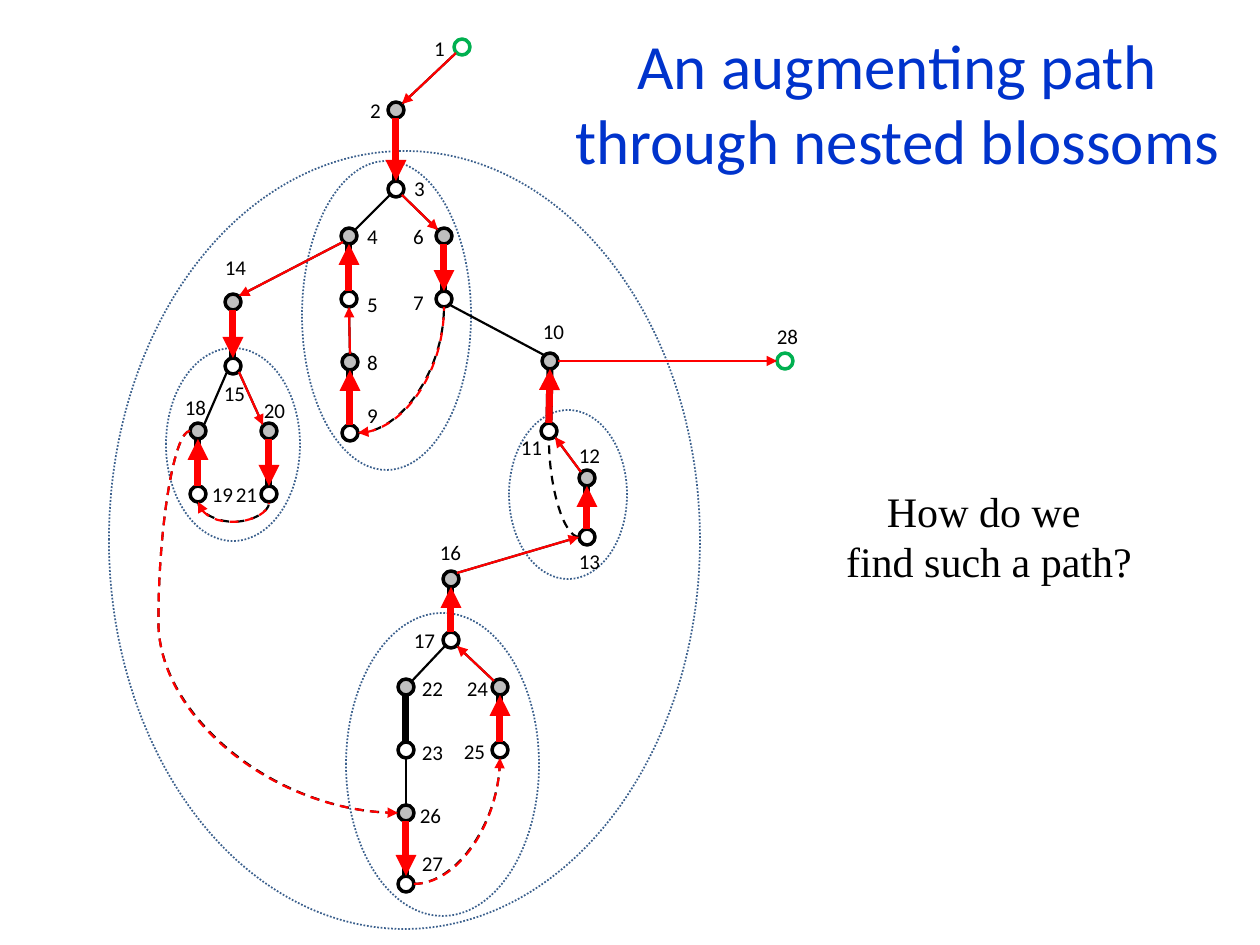
import pptx
import pptx.util
from dataclasses import dataclass
from pptx.dml.color import RGBColor
from pptx.enum.dml import MSO_LINE
from pptx.enum.shapes import MSO_CONNECTOR, MSO_SHAPE
from pptx.enum.text import MSO_ANCHOR, MSO_AUTO_SIZE, PP_ALIGN
from pptx.oxml.xmlchemy import OxmlElement

PX = 914400 // 126  # EMU per px
RADIUS, DIAGONAL = 8, 6


@dataclass(frozen=True)
class Theme:
    black: str = "000000"
    red: str = "FF0000"
    gray: str = "BFBFBF"
    white: str = "FFFFFF"
    green: str = "00B050"
    blossom: str = "3A5F8C"
    title: str = "0033CC"
    sans: str = "Calibri"
    serif: str = "Times New Roman"
    title_size: int = 36
    question_size: int = 24
    label_size: int = 12
    thin: float = 1.25
    thick: float = 4
    ring: float = 2


# Compass sites on a node circle
SITES = {
    "N": (0, -RADIUS), "S": (0, RADIUS), "E": (RADIUS, 0), "W": (-RADIUS, 0),
    "NE": (DIAGONAL, -DIAGONAL), "NW": (-DIAGONAL, -DIAGONAL),
    "SE": (DIAGONAL, DIAGONAL), "SW": (-DIAGONAL, DIAGONAL),
}

# Number: (node centre, label centre)
NODES = {
    1: ((462, 47), (439, 48)), 2: ((396, 110), (375, 110)),
    3: ((396, 189), (419, 188)), 4: ((349, 236), (372, 236)),
    5: ((349, 299), (372, 304)), 6: ((444, 236), (418, 236)),
    7: ((444, 299), (418, 302)), 8: ((350, 362), (372, 362)),
    9: ((350, 433), (372, 415)), 10: ((550, 361), (553, 331)),
    11: ((549, 431), (531, 447)), 12: ((587, 478), (589, 455)),
    13: ((587, 537), (589, 561)), 14: ((233, 302), (235, 267)),
    15: ((233, 366), (234, 393)), 16: ((451, 579), (450, 552)),
    17: ((451, 640), (424, 640)), 18: ((198, 431), (195, 407)),
    19: ((198, 494), (222, 494)), 20: ((269, 431), (274, 410)),
    21: ((269, 494), (246, 494)), 22: ((406, 687), (432, 688)),
    23: ((406, 750), (432, 752)), 24: ((500, 687), (477, 688)),
    25: ((500, 750), (474, 751)), 26: ((406, 813), (430, 815)),
    27: ((406, 884), (432, 863)), 28: ((785, 361), (787, 336)),
}
FREE = {1, 28}
OUTER = {2, 4, 6, 8, 10, 12, 14, 16, 18, 20, 22, 24, 26}

# Left, top, width, height of the dotted ovals
BLOSSOMS = [
    (346, 613, 193, 303), (109, 151, 591, 778), (166, 348, 134, 193),
    (509, 410, 118, 169), (302, 161, 169, 309),
]

# Start node, site, end node, site, kind; in walking order
PATH_EDGES = [
    (1, "SW", 2, "NE", "thin"), (2, "S", 3, "N", "thick"),
    (3, "SE", 6, "NW", "thin"), (6, "S", 7, "N", "thick"),
    (7, "S", 9, "E", "bend"), (9, "N", 8, "S", "thick"),
    (8, "N", 5, "S", "thin"), (5, "N", 4, "S", "thick"),
    (4, "SW", 14, "NE", "thin"), (14, "S", 15, "N", "thick"),
    (15, "SE", 20, "NW", "thin"), (20, "S", 21, "N", "thick"),
    (21, "S", 19, "S", "under"), (19, "N", 18, "S", "thick"),
    (18, "W", 26, "W", "side"), (26, "S", 27, "N", "thick"),
    (27, "E", 25, "S", "bend"), (25, "N", 24, "S", "thick"),
    (24, "NW", 17, "SE", "thin"), (17, "N", 16, "S", "thick"),
    (16, "NE", 13, "W", "thin"), (13, "N", 12, "S", "thick"),
    (12, "NW", 11, "SE", "thin"), (11, "N", 10, "S", "thick"),
    (10, "E", 28, "W", "thin"),
]
OTHER_EDGES = [
    (3, "SW", 4, "NE", "thin"), (15, "SW", 18, "NE", "thin"),
    (7, "SE", 10, "NW", "thin"), (11, "S", 13, "W", "bend"),
    (17, "SW", 22, "NE", "thin"), (22, "S", 23, "N", "thick"),
    (23, "S", 26, "N", "thin"),
]


class Sketch:
    def __init__(self, page, theme):
        self.page, self.theme = page, theme

    def oval(self, left, top, width, height, line, weight, fill=None):
        shape = self.page.shapes.add_shape(
            MSO_SHAPE.OVAL, *(PX * n for n in (left, top, width, height)))
        shape.shadow.inherit = False
        if fill:
            shape.fill.solid()
            shape.fill.fore_color.rgb = RGBColor.from_string(fill)
        else:
            shape.fill.background()
        shape.line.color.rgb = RGBColor.from_string(line)
        shape.line.width = pptx.util.Pt(weight)
        return shape

    def blossom(self, *bounds):
        oval = self.oval(*bounds, self.theme.blossom, 1)
        oval.line.dash_style = MSO_LINE.ROUND_DOT

    def node(self, number):
        x, y = NODES[number][0]
        line = self.theme.green if number in FREE else self.theme.black
        fill = self.theme.gray if number in OUTER else self.theme.white
        self.oval(x - RADIUS, y - RADIUS, 2 * RADIUS, 2 * RADIUS,
                  line, self.theme.ring, fill)

    def connector(self, kind, begin, end):
        """Place a connector; curves leave their begin point sideways."""
        straight = kind in ("thin", "thick")
        if kind == "under":  # one px wide, turned a quarter, 20 px deep
            x, y = (begin[0] + end[0]) // 2, begin[1]
            half = (end[0] - begin[0]) // 2
            begin, end = (x + 1, y - half), (x, y + half + 1)
        line = self.page.shapes.add_connector(
            MSO_CONNECTOR.STRAIGHT if straight else MSO_CONNECTOR.CURVE,
            *(PX * n for n in (*begin, *end)))
        properties = line.element.spPr
        if kind == "under":
            properties.xfrm.set("rot", "16200000")
        if kind == "bend":
            properties.prstGeom.set("prst", "curvedConnector2")
        if kind in ("under", "side"):
            guide = OxmlElement("a:gd")
            guide.set("name", "adj1")
            guide.set("fmla", "val 2000000" if kind == "under" else "val -15200")
            properties.prstGeom.get_or_add_avLst().append(guide)
        return line

    def edge(self, start, start_site, finish, finish_site, kind, on_path=False):
        begin, end = (
            tuple(a + b for a, b in zip(NODES[number][0], SITES[site]))
            for number, site in ((start, start_site), (finish, finish_site)))
        curved = kind in ("bend", "under", "side")
        swapped = curved and start_site not in ("E", "W")
        if swapped:
            begin, end = end, begin
        line = self.connector(kind, begin, end)
        color = self.theme.red if on_path else self.theme.black
        line.line.color.rgb = RGBColor.from_string(color)
        weight = self.theme.thick if kind == "thick" else self.theme.thin
        line.line.width = pptx.util.Pt(weight)
        if curved:
            line.line.dash_style = MSO_LINE.DASH
        if on_path:
            arrow = OxmlElement("a:headEnd" if swapped else "a:tailEnd")
            arrow.set("type", "triangle")
            line.get_or_add_ln().append(arrow)
        line.element.spPr.append(OxmlElement("a:effectLst"))

    def text(self, words, bounds, font, size, color, wrap=True, margin=None):
        box = self.page.shapes.add_textbox(*(PX * n for n in bounds))
        frame = box.text_frame
        frame.word_wrap = wrap
        frame.auto_size = MSO_AUTO_SIZE.SHAPE_TO_FIT_TEXT
        frame.vertical_anchor = MSO_ANCHOR.MIDDLE
        if margin is not None:
            frame.margin_left = frame.margin_right = margin
            frame.margin_top = frame.margin_bottom = margin
        para = frame.paragraphs[0]
        para.text = words
        para.alignment = PP_ALIGN.CENTER
        para.font.name, para.font.size = font, pptx.util.Pt(size)
        para.font.color.rgb = RGBColor.from_string(color)

    def label(self, number):
        x, y = NODES[number][1]
        width = 39 if number < 10 else 49
        self.text(str(number), (x - width // 2, y - 19, width, 38),
                  self.theme.sans, self.theme.label_size, self.theme.black,
                  wrap=False)


def main():
    deck = pptx.Presentation()
    deck.slide_width, deck.slide_height = pptx.util.Inches(10), pptx.util.Inches(7.5)
    theme = Theme()
    sketch = Sketch(deck.slides.add_slide(deck.slide_layouts[6]), theme)

    # Graph: blossoms, edges, nodes and numbers
    for bounds in BLOSSOMS:
        sketch.blossom(*bounds)
    for edge in PATH_EDGES + OTHER_EDGES:
        sketch.edge(*edge)
    for number in NODES:
        sketch.node(number)
    for number in NODES:
        sketch.label(number)

    # Title
    sketch.text("An augmenting path through nested blossoms", (571, 26, 653, 152),
                theme.sans, theme.title_size, theme.title, margin=0)

    # Augmenting path
    for edge in PATH_EDGES:
        sketch.edge(*edge, on_path=True)

    # Question
    sketch.text("How do we \nfind such a path?", (718, 478, 542, 115),
                theme.serif, theme.question_size, theme.black)
    deck.save("out.pptx")


if __name__ == "__main__":
    main()
